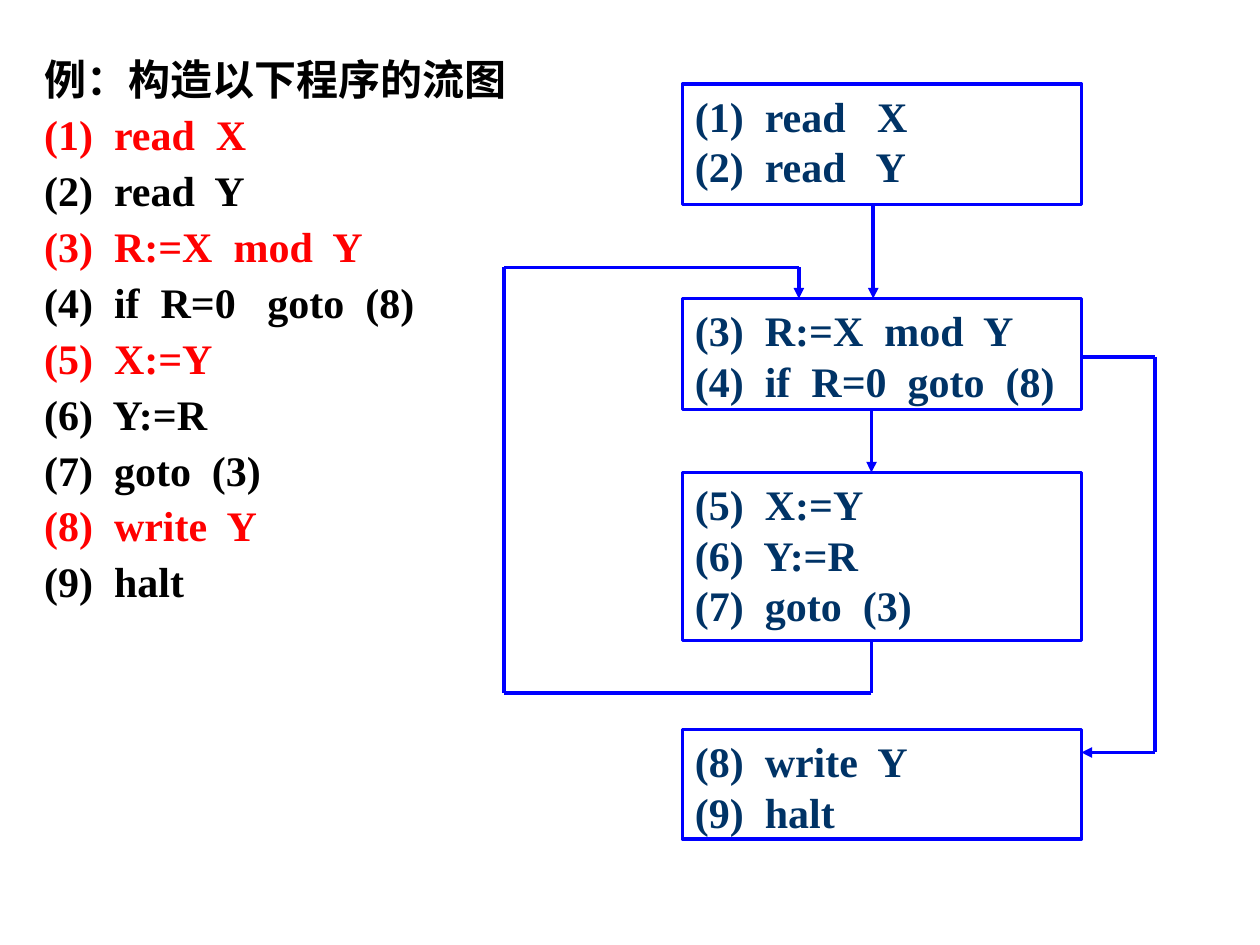
"""Build a slide that turns a short program into its flow graph."""
from lxml import etree
from pptx import Presentation
from pptx.dml.color import RGBColor
from pptx.enum.shapes import MSO_CONNECTOR, MSO_SHAPE
from pptx.enum.text import MSO_ANCHOR, MSO_AUTO_SIZE, PP_ALIGN
from pptx.oxml.ns import qn
from pptx.util import Pt

BLACK = RGBColor(0, 0, 0)
RED = RGBColor(255, 0, 0)
BLUE = RGBColor(0, 0, 255)
NAVY = RGBColor(0, 51, 102)
WHITE = RGBColor(255, 255, 255)
LEFT, JUST = PP_ALIGN.LEFT, PP_ALIGN.JUSTIFY
TOP, FIXED = MSO_ANCHOR.TOP, MSO_AUTO_SIZE.NONE
RECT, LINE = MSO_SHAPE.RECTANGLE, MSO_CONNECTOR.STRAIGHT
FONT = {"name": "Times New Roman", "size": Pt(24), "bold": True}
FRAME = {"word_wrap": True, "auto_size": FIXED, "vertical_anchor": TOP,
         "margin_left": Pt(7.2), "margin_right": Pt(7.2),
         "margin_top": Pt(3.6), "margin_bottom": Pt(3.6)}


def style(item, form):
    for key, val in form.items():
        setattr(item, key, val)


def write(frame, rows, form):
    style(frame, FRAME)
    for num, (text, color, align) in enumerate(rows):
        para = frame.add_paragraph() if num else frame.paragraphs[0]
        style(para, {"alignment": align, **form})
        if not num:
            para.space_before = Pt(0)
        run = para.add_run()
        run.text = text
        style(run.font, FONT)
        run.font.color.rgb = color


deck = Presentation()
deck.slide_width, deck.slide_height = Pt(720), Pt(540)
slide = deck.slides.add_slide(deck.slide_layouts[1])
title, body = slide.placeholders
title.element.getparent().remove(title.element)

code = [
    ("例：构造以下程序的流图", BLACK, JUST),
    ("(1)  read  X", RED, JUST),
    ("(2)  read  Y", BLACK, JUST),
    ("(3)  R:=X  mod  Y", RED, JUST),
    ("(4)  if  R=0   goto  (8)", BLACK, JUST),
    ("(5)  X:=Y", RED, LEFT),
    ("(6)  Y:=R", BLACK, LEFT),
    ("(7)  goto  (3)", BLACK, LEFT),
    ("(8)  write  Y", RED, LEFT),
    ("(9)  halt", BLACK, JUST),
]
style(body, {"left": Pt(18), "top": Pt(30), "width": Pt(300), "height": Pt(324)})
write(body.text_frame, code, {"line_spacing": 0.9, "space_before": Pt(6)})
for para in body.text_frame.paragraphs:
    props = para._p.get_or_add_pPr()
    props.set("marL", str(Pt(27)))
    props.set("indent", str(Pt(-27)))
    etree.SubElement(props, qn("a:buNone"))

blocks = [
    (48, 69, ["(1)  read   X", "(2)  read   Y"]),
    (170.6, 63.4, ["(3)  R:=X  mod  Y", "(4)  if  R=0  goto  (8)"]),
    (270, 96, ["(5)  X:=Y", "(6)  Y:=R", "(7)  goto  (3)"]),
    (417, 62.6, ["(8)  write  Y", "(9)  halt"]),
]
for top, high, rows in blocks:
    box = slide.shapes.add_shape(RECT, Pt(390), Pt(top), Pt(228), Pt(high))
    box.shadow.inherit = False
    box.fill.solid()
    box.fill.fore_color.rgb = WHITE
    box.line.color.rgb = BLUE
    box.line.width = Pt(2)
    write(box.text_frame, [(row, NAVY, LEFT) for row in rows], {})

routes = [
    [(499, 117), (499, 170.6)],
    [(498, 234), (498, 270)],
    [(498, 366), (498, 396), (288, 396), (288, 152.8), (456.5, 152.8), (456.5, 170.6)],
    [(618, 204), (660, 204), (660, 430), (618, 430)],
]
for route in routes:
    for start, end in zip(route, route[1:]):
        edge = slide.shapes.add_connector(LINE, *map(Pt, start + end))
        edge.line.color.rgb = BLUE
        edge.line.width = Pt(2)
        etree.SubElement(edge.element.spPr, qn("a:effectLst"))
    etree.SubElement(edge.line._get_or_add_ln(), qn("a:tailEnd"), type="triangle")

deck.save("out.pptx")
